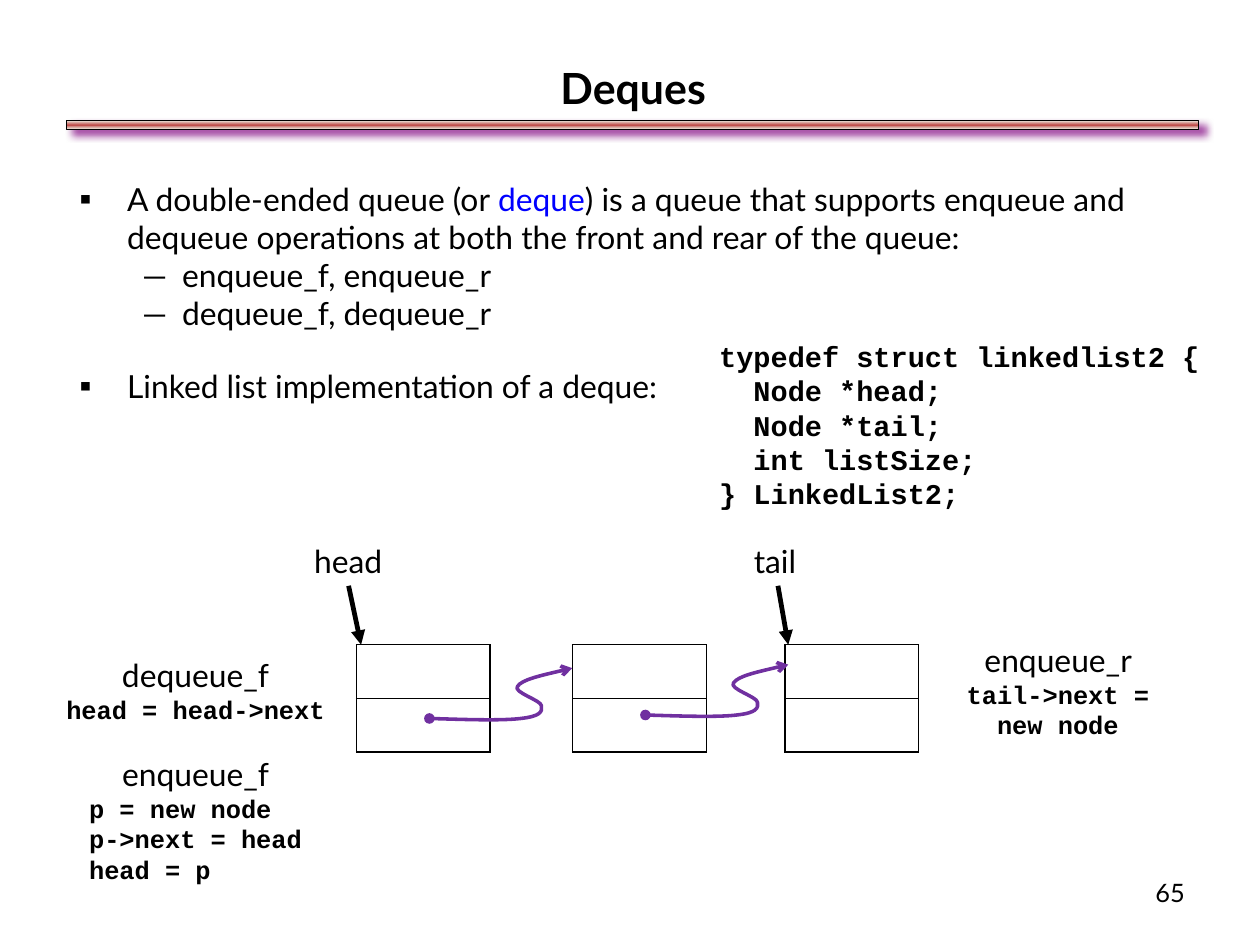
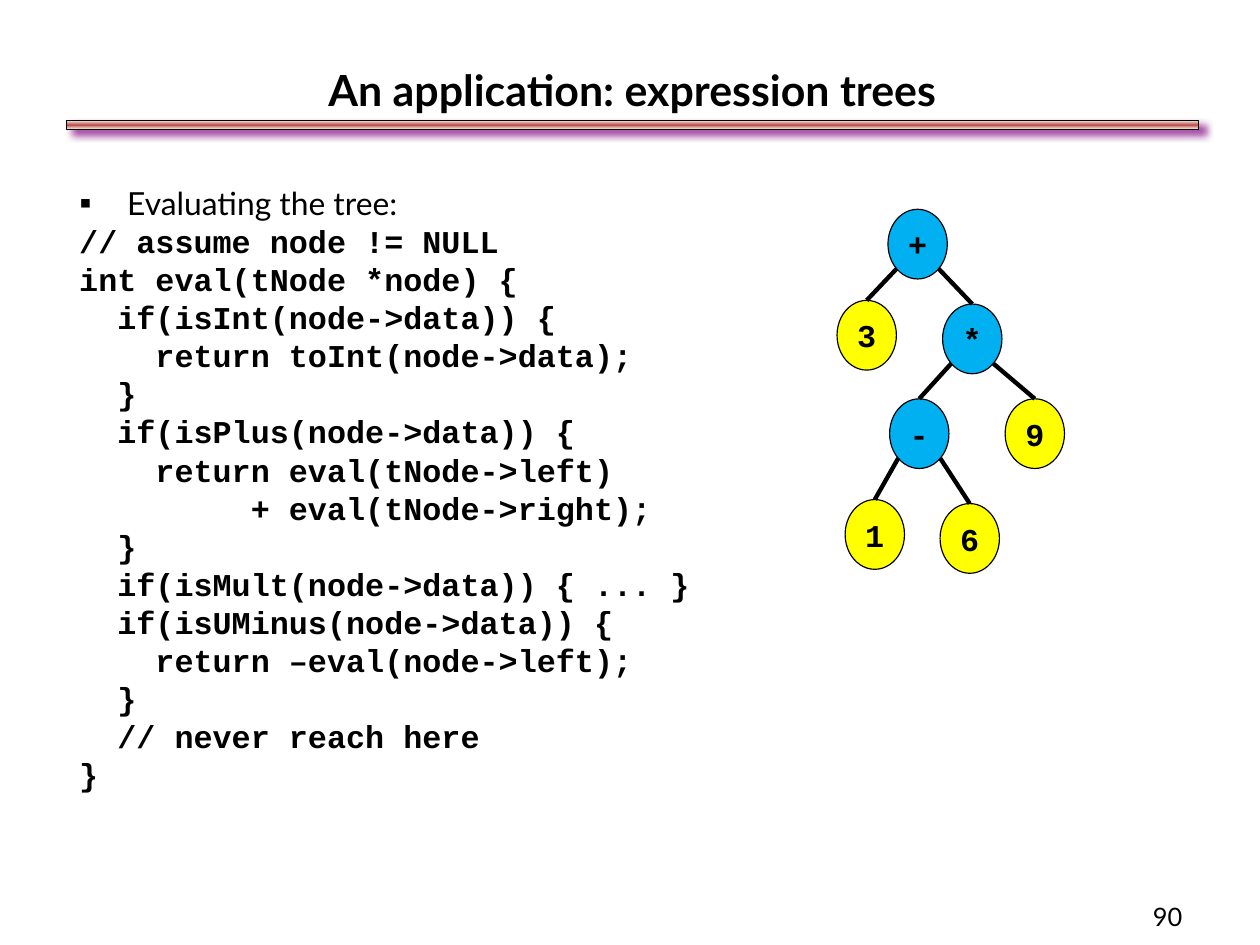
from copy import deepcopy
from dataclasses import dataclass
from typing import NamedTuple

from lxml import etree
from pptx import Presentation
from pptx import util as u
from pptx.dml import color
from pptx.enum import shapes, text
from pptx.oxml import ns

Pt = u.Pt
BLACK, BLUE, PURPLE = "000000", "0000FF", "7030A0"
CREAM, RED, SHADOW = "EEECE1", "C0504D", "800080"
OPERATOR, OPERAND = "00B0F0", "FFFF00"
SANS, MONO = "Lato", "Courier New"
LEFT, CENTER, RIGHT = text.PP_ALIGN.LEFT, text.PP_ALIGN.CENTER, text.PP_ALIGN.RIGHT
WIDE_INSETS = (7.9, 4.3)
LABEL_INSETS = (7.2, 3.6)


class Box(NamedTuple):
    left: float
    top: float
    width: float
    height: float

    def lengths(self) -> list:
        return [Pt(value) for value in self]


class Bullet(NamedTuple):
    char: str
    margin: float
    indent: float
    level: int


SQUARE = Bullet("▪", 30.2, -30.2, 0)
DASH = Bullet("—", 64.8, -25.2, 1)


@dataclass
class Line:
    words: str
    size: float = 20
    font: str = SANS
    bold: bool = False
    align: text.PP_ALIGN = LEFT
    bullet: Bullet | None = None
    before: float = 0
    highlight: str = ""


@dataclass
class TreeNode:
    symbol: str
    left: float
    top: float
    fill: str
    parent: str = ""
    side: int = -1  # -1 is a left child, 1 a right child


def rgb(value: str) -> color.RGBColor:
    return color.RGBColor.from_string(value)


def code(source: str, size: float) -> list[Line]:
    return [Line(row, size, MONO, True) for row in source.split("\n")]


def add_child(parent, tag: str, **attributes):
    return etree.SubElement(parent, ns.qn(tag), attributes)


# Text
def write_line(paragraph, line: Line) -> None:
    if line.bullet:
        properties = paragraph._p.get_or_add_pPr()
        properties.set("marL", str(Pt(line.bullet.margin)))
        properties.set("indent", str(Pt(line.bullet.indent)))
        add_child(add_child(properties, "a:buClr"), "a:srgbClr", val=BLACK)
        add_child(properties, "a:buFont", typeface=SANS)
        add_child(properties, "a:buChar", char=line.bullet.char)
        paragraph.level = line.bullet.level
    paragraph.alignment = line.align
    if line.before:
        paragraph.space_before = Pt(line.before)
    if line.font == MONO:
        paragraph.line_spacing = Pt(line.size * 1.2)
    font = paragraph.font
    font.name, font.size, font.bold = line.font, Pt(line.size), line.bold
    font.color.rgb = rgb(BLACK)
    parts = line.words.partition(line.highlight) if line.highlight else (line.words,)
    for part in parts:
        run = paragraph.add_run()
        run.text = part
        if part == line.highlight:
            run.font.color.rgb = rgb(BLUE)


def fill_frame(frame, lines: list[Line], insets=LABEL_INSETS, wrap=False,
               anchor=text.MSO_ANCHOR.TOP) -> None:
    frame.margin_left = frame.margin_right = Pt(insets[0])
    frame.margin_top = frame.margin_bottom = Pt(insets[1])
    frame.auto_size = text.MSO_AUTO_SIZE.NONE
    frame.word_wrap = wrap
    frame.vertical_anchor = anchor
    for index, line in enumerate(lines):
        write_line(frame.add_paragraph() if index else frame.paragraphs[0], line)


def add_text(slide, box: Box, lines: list[Line], insets=LABEL_INSETS, wrap=False):
    shape = slide.shapes.add_textbox(*box.lengths())
    fill_frame(shape.text_frame, lines, insets, wrap)
    return shape


# Lines
def style_line(shape, hex_color: str, width: float, head: str = "", tail: str = "") -> None:
    shape.line.color.rgb = rgb(hex_color)
    shape.line.width = Pt(width)
    outline = shape.element.spPr.get_or_add_ln()
    for tag, kind in (("a:headEnd", head), ("a:tailEnd", tail)):
        if kind:
            add_child(outline, tag, type=kind)


def add_line(slide, start: tuple, end: tuple, width: float, tail: str = ""):
    connector = slide.shapes.add_connector(
        shapes.MSO_CONNECTOR.STRAIGHT, *(Pt(value) for value in (*start, *end)))
    style_line(connector, BLACK, width, tail=tail)
    add_child(connector.element.spPr, "a:effectLst")
    return connector


def add_curve(slide, start: tuple, offsets: list[tuple]) -> None:
    """Draw cubic curves; each three offsets are two controls and an end."""
    points = [(Pt(start[0] + x), Pt(start[1] + y)) for x, y in offsets]
    builder = slide.shapes.build_freeform(Pt(start[0]), Pt(start[1]))
    builder.add_line_segments(points, close=False)
    shape = builder.convert_to_shape()
    outline = shape.element.find(".//" + ns.qn("a:path"))
    segments = outline.findall(ns.qn("a:lnTo"))
    for first in range(0, len(segments), 3):
        curve = add_child(outline, "a:cubicBezTo")
        for segment in segments[first:first + 3]:
            curve.append(segment[0])
            outline.remove(segment)
    shape.fill.background()
    shape.shadow.inherit = False
    style_line(shape, PURPLE, 2.25, "oval", "arrow")


# Shared slide frame
def add_bar(slide) -> None:
    bar = slide.shapes.add_shape(
        shapes.MSO_SHAPE.RECTANGLE, *Box(42, 76, 713, 5.5).lengths())
    bar.fill.gradient()
    bar.fill.gradient_angle = 90
    stops = bar.element.find(".//" + ns.qn("a:gsLst"))
    stops.append(deepcopy(stops[0]))
    for stop, position, shade in zip(bar.fill.gradient_stops, (0, 0.5, 1), (CREAM, RED, CREAM)):
        stop.position = position
        stop.color.rgb = rgb(shade)
    style_line(bar, BLACK, 1)
    bar.shadow.inherit = False
    effects = bar.element.spPr.find(ns.qn("a:effectLst"))
    shadow = add_child(effects, "a:outerShdw", blurRad=str(Pt(5)), dist=str(Pt(5)),
                       dir=str(37 * 60000), algn="ctr", rotWithShape="0")
    add_child(add_child(shadow, "a:srgbClr", val=SHADOW), "a:alpha", val="75000")


def add_slide(presentation, title: str, title_box: Box, number: str, number_box: Box):
    slide = presentation.slides.add_slide(presentation.slide_layouts[5])
    add_bar(slide)
    holder = slide.shapes.title
    holder.left, holder.top, holder.width, holder.height = title_box.lengths()
    fill_frame(holder.text_frame, [Line(title, 27, bold=True, align=CENTER)],
               WIDE_INSETS, True, text.MSO_ANCHOR.MIDDLE)
    add_text(slide, number_box, [Line(number, 16, align=RIGHT)], WIDE_INSETS, True)
    return slide


# Slide: deques
def add_list_node(slide, left: float) -> None:
    table = slide.shapes.add_table(2, 1, *Box(left, 406.1, 84.2, 67.7).lengths()).table
    table.first_row = table.horz_banding = False
    for cell in table.iter_cells():
        cell.fill.background()
        properties = cell._tc.get_or_add_tcPr()
        for index, side in enumerate(("a:lnL", "a:lnR", "a:lnT", "a:lnB")):
            border = etree.Element(ns.qn(side), w=str(Pt(0.96)))
            add_child(add_child(border, "a:solidFill"), "a:srgbClr", val=BLACK)
            properties.insert(index, border)


def build_deques(presentation) -> None:
    slide = add_slide(presentation, "Deques", Box(41.8, 35.3, 714.2, 39.6),
                      "65", Box(588.7, 548.2, 165.6, 39.6))
    add_text(slide, Box(42, 108.8, 712, 433), [
        Line("A double-ended queue (or deque) is a queue that supports enqueue and "
             "dequeue operations at both the front and rear of the queue:",
             bullet=SQUARE, highlight="deque"),
        Line("enqueue_f, enqueue_r", bullet=DASH),
        Line("dequeue_f, dequeue_r", bullet=DASH),
        Line("Linked list implementation of a deque:", bullet=SQUARE, before=21.6),
    ], WIDE_INSETS, True)

    for left in (224.6, 360.7, 494.6):
        add_list_node(slide, left)

    # Pointers to both ends
    for name, box, tip in (("head", Box(190.8, 338, 57.6, 31), 227.5),
                           ("tail", Box(467.8, 338, 44.6, 31), 496.6)):
        label = add_text(slide, box, [Line(name)])
        pointer = add_line(slide, (box.left, box.top), (tip, 406.1), 3, "triangle")
        pointer.begin_connect(label, 2)

    # Links between nodes
    link = [(23, 0.7), (46, 1.4), (57.6, 0), (70, -1.4), (71.3, -4.3), (70.6, -8),
            (70.4, -11.5), (52.5, -16.5), (55.5, -20.2), (58.3, -24.5), (74.2, -28),
            (90, -31.7)]
    for start in ((270.5, 452.6), (406.6, 450.4)):
        add_curve(slide, start, link)

    # Operations
    for name, box, source in (
            ("enqueue_r", Box(601.9, 400.1, 129.6, 69.1), "tail->next =\n  new node"),
            ("dequeue_f", Box(34.7, 409.5, 177.1, 50.4), "head = head->next"),
            ("enqueue_f", Box(49.1, 472, 148.3, 88.6),
             "p = new node\np->next = head\nhead = p")):
        add_text(slide, box, [Line(name, align=CENTER), *code(source, 16)])

    add_text(slide, Box(446, 210, 316.8, 115.2), code("""typedef struct linkedlist2 {
  Node *head;
  Node *tail;
  int listSize;
} LinkedList2;""", 18))


# Slide: expression trees
EVAL_CODE = """// assume node != NULL
int eval(tNode *node) {
  if(isInt(node->data)) {
    return toInt(node->data);
  }
  if(isPlus(node->data)) {
    return eval(tNode->left)
         + eval(tNode->right);
  }
  if(isMult(node->data)) { ... }
  if(isUMinus(node->data)) {
    return –eval(node->left);
  }
  // never reach here
}"""

TREE = [
    TreeNode("+", 559.4, 131.8, OPERATOR),
    TreeNode("3", 527.3, 189.2, OPERAND, "+", -1),
    TreeNode("*", 593.8, 191.5, OPERATOR, "+", 1),
    TreeNode("-", 560.4, 251.2, OPERATOR, "*", -1),
    TreeNode("9", 633.2, 251.2, OPERAND, "*", 1),
    TreeNode("1", 532.4, 314.7, OPERAND, "-", -1),
    TreeNode("6", 592.2, 317.2, OPERAND, "-", 1),
]
NODE_WIDTH, NODE_HEIGHT = 37.4, 43.9
DIAGONAL = 0.5 ** 0.5


def add_tree(slide, nodes: list[TreeNode]) -> None:
    by_symbol = {node.symbol: node for node in nodes}
    for node in nodes:
        shape = slide.shapes.add_shape(
            shapes.MSO_SHAPE.OVAL, *Box(node.left, node.top, NODE_WIDTH, NODE_HEIGHT).lengths())
        shape.fill.solid()
        shape.fill.fore_color.rgb = rgb(node.fill)
        shape.shadow.inherit = False
        style_line(shape, BLACK, 0.75)
        fill_frame(shape.text_frame, [Line(node.symbol, 20, MONO, True, CENTER)],
                   anchor=text.MSO_ANCHOR.MIDDLE)
        if node.parent:
            parent = by_symbol[node.parent]
            start = (parent.left + NODE_WIDTH / 2 * (1 + node.side * DIAGONAL),
                     parent.top + NODE_HEIGHT / 2 * (1 + DIAGONAL))
            edge = add_line(slide, start, (node.left, node.top), 2.75)
            edge.end_connect(shape, 0)


def build_expression_trees(presentation) -> None:
    slide = add_slide(presentation, "An application: expression trees",
                      Box(41.8, 36, 712.8, 41), "90", Box(587.8, 563.6, 164.9, 41))
    add_text(slide, Box(42, 111.3, 710.6, 446.4),
             [Line("Evaluating the tree:", bullet=SQUARE), *code(EVAL_CODE, 20)],
             WIDE_INSETS, True)
    add_tree(slide, TREE)


def main() -> None:
    presentation = Presentation()
    presentation.slide_width, presentation.slide_height = Pt(793.75), Pt(595.25)
    build_deques(presentation)
    build_expression_trees(presentation)
    presentation.save("out.pptx")


if __name__ == "__main__":
    main()
